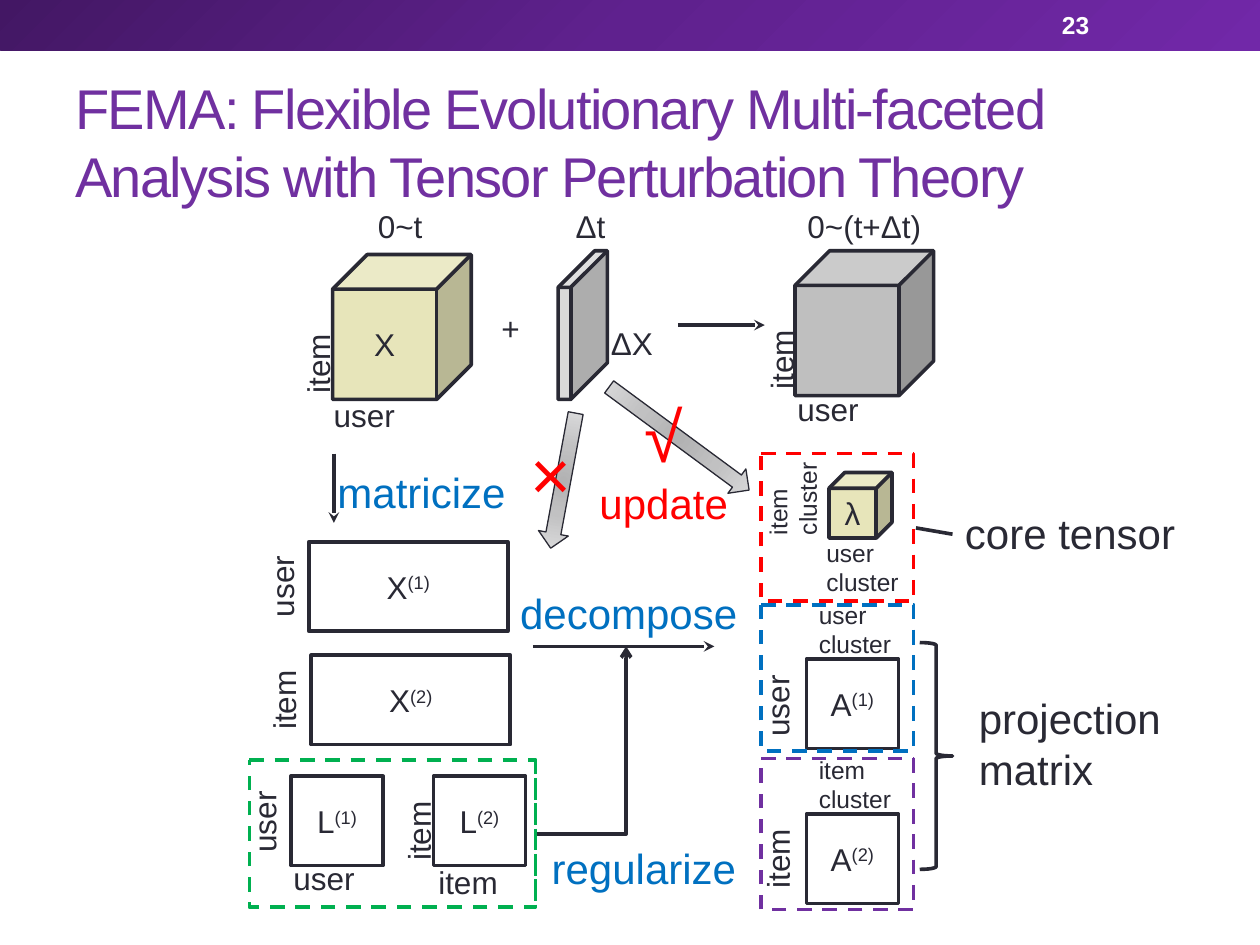
import lxml.etree
import pptx
import pptx.dml.color
import pptx.enum.dml
import pptx.enum.shapes
import pptx.enum.text
import pptx.oxml.ns
import pptx.util

Inches = pptx.util.Inches
SHAPE = pptx.enum.shapes.MSO_SHAPE
LINK = pptx.enum.shapes.MSO_CONNECTOR
ALIGN = pptx.enum.text.PP_ALIGN
INK, BLUE, RED, PURPLE, GREEN = "292934", "0070C0", "FF0000", "7030A0", "00B050"
CREAM, WHITE = "E7E5BA", "FFFFFF"


def color(code):
    return pptx.dml.color.RGBColor.from_string(code)


def node(parent, tag, **attrs):
    return lxml.etree.SubElement(parent, pptx.oxml.ns.qn(tag), attrs)


class Board:
    def __init__(self, slide, font="Arial", weight=2.08):
        self.slide = slide
        self.font = font
        self.weight = weight

    def style(self, run, size, code, bold=False):
        run.font.name = self.font
        run.font.size = pptx.util.Pt(size)
        run.font.bold = bold
        run.font.color.rgb = color(code)

    def text(self, words, box, size=18, code=INK, turn=0, align=None,
             wrap=False, bold=False, track=0):
        item = self.slide.shapes.add_textbox(*map(Inches, box))
        item.rotation = turn
        frame = item.text_frame
        frame.text = words
        frame.word_wrap = wrap
        if wrap:
            frame.vertical_anchor = pptx.enum.text.MSO_ANCHOR.MIDDLE
        else:
            frame.auto_size = pptx.enum.text.MSO_AUTO_SIZE.SHAPE_TO_FIT_TEXT
        for para in frame.paragraphs:
            para.alignment = align
            for run in para.runs:
                self.style(run, size, code, bold)
                if track:
                    run.font._element.set("spc", str(track))

    def shape(self, kind, box, fill=None, line=INK, weight=None, turn=0):
        item = self.slide.shapes.add_shape(kind, *map(Inches, box))
        item.shadow.inherit = False
        item.rotation = turn
        if fill:
            item.fill.solid()
            item.fill.fore_color.rgb = color(fill)
        else:
            item.fill.background()
        if line:
            item.line.color.rgb = color(line)
            item.line.width = pptx.util.Pt(weight or self.weight)
        else:
            item.line.fill.background()
        return item

    def blend(self, item, stops, angle=None):
        item.fill.gradient()
        grad = item._element.spPr.find(pptx.oxml.ns.qn("a:gradFill"))
        for child in list(grad):
            grad.remove(child)
        chain = node(grad, "a:gsLst")
        for place, code in stops:
            stop = node(chain, "a:gs", pos=str(place * 1000))
            node(stop, "a:srgbClr", val=code)
        if angle is None:
            way = node(grad, "a:path", path="circle")
            node(way, "a:fillToRect", l="100000", t="100000", r="100000", b="100000")
        else:
            node(grad, "a:lin", ang=str(angle * 60000), scaled="0")

    def banner(self, box):
        item = self.shape(SHAPE.RECTANGLE, box, line=None)
        self.blend(item, [(0, "431764"), (50, "5F218E"), (100, "7128A8")], 45)

    def cube(self, box, fill, label="", power="", depth=0.25):
        item = self.shape(SHAPE.CUBE, box, fill)
        item.adjustments[0] = depth
        if label:
            para = item.text_frame.paragraphs[0]
            para.text = label
            para.alignment = ALIGN.CENTER
            if power:
                para.add_run().text = power
            for run in para.runs:
                self.style(run, 18, INK)
            if power:
                para.runs[1].font._element.set("baseline", "30000")

    def frame(self, box, code):
        item = self.shape(SHAPE.CUBE, box, line=code)
        item.adjustments[0] = 0
        item.line.dash_style = pptx.enum.dml.MSO_LINE.DASH

    def arrow(self, box, turn):
        item = self.shape(SHAPE.DOWN_ARROW, box, weight=0.75, turn=turn)
        self.blend(item, [(0, "B2B2B3"), (45, "C1C1C2"), (100, "DDDDDE")])

    def line(self, ends, head=None, bent=False):
        kind = LINK.ELBOW if bent else LINK.STRAIGHT
        item = self.slide.shapes.add_connector(kind, *map(Inches, ends))
        item.line.color.rgb = color(INK)
        item.line.width = pptx.util.Pt(self.weight)
        props = item._element.spPr
        if bent:
            props.find(pptx.oxml.ns.qn("a:prstGeom")).set("prst", "bentConnector2")
        if head:
            node(item.line._get_or_add_ln(), "a:tailEnd", type=head)
        node(props, "a:effectLst")


def main():
    deck = pptx.Presentation()
    deck.slide_width, deck.slide_height = Inches(10), Inches(7.5)
    board = Board(deck.slides.add_slide(deck.slide_layouts[6]))

    board.banner((0, 0, 10, 0.4))
    board.text("FEMA: Flexible Evolutionary Multi-faceted Analysis with Tensor "
               "Perturbation Theory", (0.5, 0.58, 9, 1.08), 32, PURPLE,
               wrap=True, track=-100)
    board.text("23", (8.33, 0.02, 1.17, 0.36), 14, WHITE, wrap=True, bold=True)

    board.cube((2.64, 2.02, 1.1, 1.15), CREAM, "X")
    board.cube((4.43, 1.99, 0.39, 1.18), "D9D9D9", depth=0.744)
    board.cube((6.31, 1.99, 1.1, 1.15), "BFBFBF")
    board.cube((6.58, 3.75, 0.5, 0.52), CREAM, "λ")

    faces = [("A", 6.4, 5.23, 0, 1.23, 0.73), ("X", 2.45, 4.3, 0.02, 0.9, 1.58),
             ("L", 2.31, 6.16, 1.13, 0, 0.73)]
    for name, left, top, across, down, width in faces:
        for i in range(2):
            box = (left + i * across, top + i * down, width, 0.71)
            board.cube(box, WHITE, name, f"({i + 1})", depth=0)

    board.arrow((4.35, 3.27, 0.24, 1.09), 10.5)
    board.arrow((5.27, 2.79, 0.24, 1.38), 306.4)

    frames = [(6.04, 3.6, 1.21, 1.17, RED), (6.04, 4.8, 1.21, 1.16, BLUE),
              (6.04, 6.02, 1.21, 1.2, PURPLE), (1.98, 6.03, 2.27, 1.17, GREEN)]
    for *box, code in frames:
        board.frame(box, code)

    board.line((5.38, 2.58, 6.07, 2.58), "stealth")
    board.line((2.65, 3.6, 2.65, 4.15), "stealth")
    board.line((4.23, 5.13, 5.67, 5.13), "stealth")
    board.line((7.27, 4.19, 7.56, 4.24))
    board.line((4.26, 6.62, 4.97, 5.13), "arrow", bent=True)
    board.shape(SHAPE.RIGHT_BRACE, (7.3, 5.1, 0.26, 1.8))

    wide = {"user": 0.69, "item": 0.68}
    axes = [("user", 2.55, 3.09, 0), ("item", 2.18, 2.68, 270),
            ("user", 6.23, 3.05, 0), ("item", 5.86, 2.65, 270),
            ("user", 5.82, 5.4, 270), ("item", 5.83, 6.61, 270),
            ("user", 1.89, 4.45, 270), ("item", 1.91, 5.35, 270),
            ("user", 2.23, 6.77, 0), ("user", 1.75, 6.32, 270),
            ("item", 3.38, 6.8, 0), ("item", 2.98, 6.39, 270)]
    for word, left, top, turn in axes:
        board.text(word, (left, top, wide[word], 0.4), turn=turn)

    groups = [("user", 6.4, 4.71, 0), ("item", 6.4, 5.94, 0),
              ("user", 6.46, 4.22, 0), ("item", 5.9, 3.67, 270)]
    for word, left, top, turn in groups:
        board.text(word + "\ncluster", (left, top, 0.78, 0.57), 14, turn=turn)

    marks = [("0~t", 2.9, 1.59, 0.57), ("Δt", 4.47, 1.59, 0.44),
             ("0~(t+Δt)", 6.31, 1.59, 1.16), ("+", 3.88, 2.4, 0.35)]
    for word, left, top, width in marks:
        board.text(word, (left, top, width, 0.4))
    board.text("ΔX", (4.74, 2.52, 0.55, 0.4), align=ALIGN.CENTER)

    steps = [("matricize", 2.58, 3.65, 1.55, 0.5, BLUE),
             ("decompose", 4.03, 4.61, 1.94, 0.5, BLUE),
             ("regularize", 4.28, 6.64, 1.68, 0.5, BLUE),
             ("update", 4.66, 3.74, 1.23, 0.5, RED),
             ("core tensor", 7.56, 3.98, 1.89, 0.5, INK),
             ("projection\nmatrix", 7.67, 5.45, 1.66, 0.91, INK)]
    for word, *box, code in steps:
        board.text(word, box, 24, code)
    board.text("×", (4.11, 3.37, 0.76, 0.77), 40, RED)
    board.text("√", (5.02, 3.07, 0.51, 0.77), 40, RED)

    deck.save("out.pptx")


if __name__ == "__main__":
    main()
